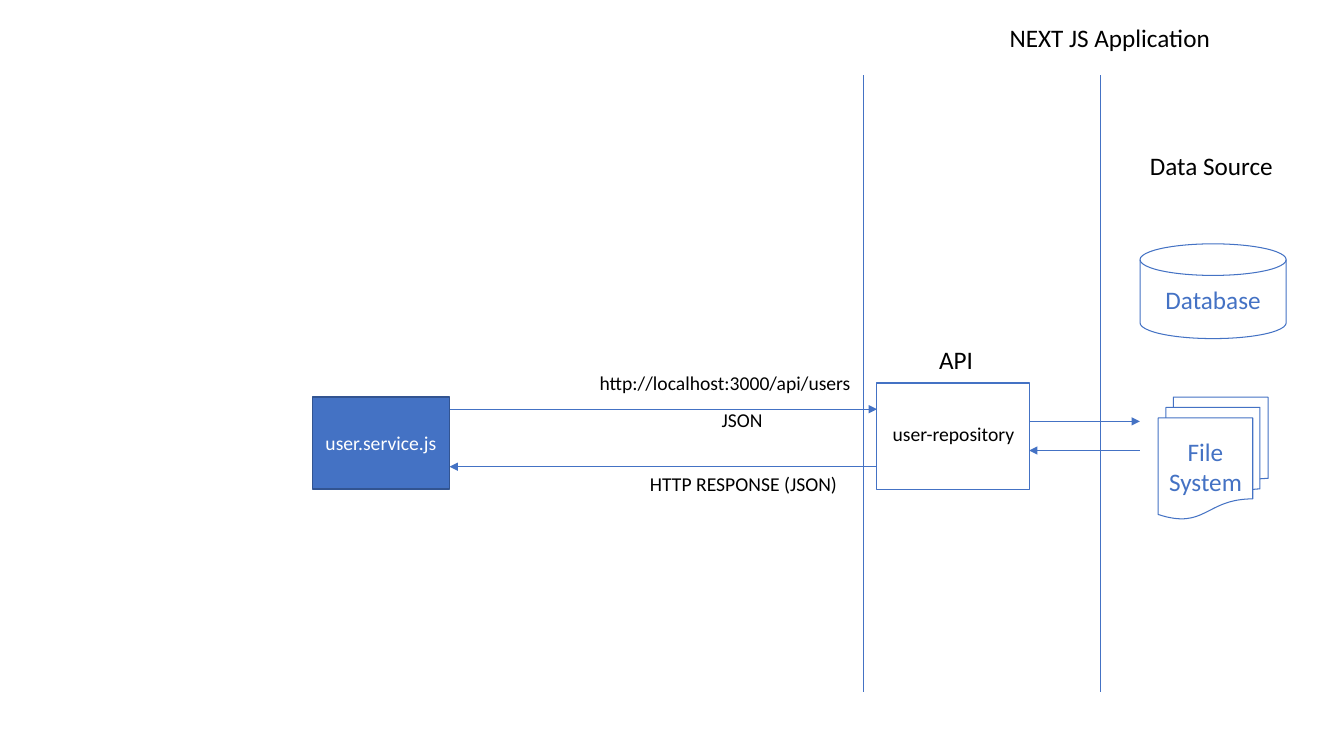
from pptx import Presentation
from pptx.dml.color import RGBColor
from pptx.enum.shapes import MSO_CONNECTOR, MSO_SHAPE
from pptx.enum.text import MSO_ANCHOR, PP_ALIGN
from pptx.oxml.ns import qn
from pptx.util import Pt
from lxml.etree import SubElement

BLUE = RGBColor(0x44, 0x72, 0xC4)
NAVY = RGBColor(0x32, 0x54, 0x91)
BLACK = RGBColor(0, 0, 0)
WHITE = RGBColor(0xFF, 0xFF, 0xFF)


def write(frame, text, size, color, align):
    para = frame.paragraphs[0]
    para.alignment = align
    run = para.add_run()
    run.text = text
    run.font.name = "Calibri"
    run.font.size = Pt(size)
    run.font.color.rgb = color


def draw_line(x1, y1, x2, y2, arrow):
    line = slide.shapes.add_connector(
        MSO_CONNECTOR.STRAIGHT, Pt(x1), Pt(y1), Pt(x2), Pt(y2))
    line.line.color.rgb = BLUE
    line.line.width = Pt(0.5)
    if arrow:
        SubElement(line.line._get_or_add_ln(), qn("a:tailEnd"), type="triangle")
    SubElement(line._element.spPr, qn("a:effectLst"))


deck = Presentation()
deck.slide_width = Pt(960)
deck.slide_height = Pt(540)
slide = deck.slides.add_slide(deck.slide_layouts[6])

# Edges shared by the boxes and the arrows
service_left, service_right = 223.2, 321.1
repo_left, repo_right = 626.4, 735.1
source_left = 814.3

# Boundaries between client, API and data source
for x in (617, 786.2):
    draw_line(x, 53.6, x, 494, False)

# Requests and responses
for start, end, y in (
    (service_right, repo_left, 292.3),
    (repo_left, service_right, 333.4),
    (repo_right, source_left, 301),
    (source_left, repo_right, 321.8),
):
    draw_line(start, y, end, y, True)

# Components
for kind, x, y, w, h, text, size, fill, edge, width, color in (
    (MSO_SHAPE.FLOWCHART_MAGNETIC_DISK, source_left, 174.2, 104.4, 67.7,
     "Database", 18, None, BLUE, 0.75, BLUE),
    (MSO_SHAPE.FLOWCHART_MULTIDOCUMENT, 827.3, 283.7, 78.5, 87.1,
     "File System", 18, None, BLUE, 0.75, BLUE),
    (MSO_SHAPE.RECTANGLE, repo_left, 273.6, repo_right - repo_left, 76.3,
     "", 14, None, BLUE, 0.75, BLACK),
    (MSO_SHAPE.RECTANGLE, service_left, 283.7, service_right - service_left, 65.5,
     "user.service.js", 14, BLUE, NAVY, 1, WHITE),
):
    shape = slide.shapes.add_shape(kind, Pt(x), Pt(y), Pt(w), Pt(h))
    shape.shadow.inherit = False
    if fill is None:
        shape.fill.background()
    else:
        shape.fill.solid()
        shape.fill.fore_color.rgb = fill
    shape.line.color.rgb = edge
    shape.line.width = Pt(width)
    if text:
        frame = shape.text_frame
        frame.word_wrap = True
        frame.vertical_anchor = MSO_ANCHOR.MIDDLE
        write(frame, text, size, color, PP_ALIGN.CENTER)

# Headings and labels
for text, x, y, w, size, align, wrap in (
    ("NEXT JS Application", 643.7, 12.2, 298.1, 18, PP_ALIGN.CENTER, True),
    ("Data Source", source_left, 104, 104.4, 18, PP_ALIGN.LEFT, True),
    ("API", 630.7, 242.2, 104.4, 18, PP_ALIGN.CENTER, True),
    ("user-repository", 630, 298.1, 102.2, 14, PP_ALIGN.CENTER, True),
    ("http://localhost:3000/api/users", 421.2, 261.2, 195.8, 14, PP_ALIGN.LEFT, False),
    ("JSON", 508.3, 288, 43.9, 14, PP_ALIGN.LEFT, False),
    ("HTTP RESPONSE (JSON)", 457.2, 333.4, 149, 14, PP_ALIGN.LEFT, False),
):
    height = 29.1 if size == 18 else 24.2
    label = slide.shapes.add_textbox(Pt(x), Pt(y), Pt(w), Pt(height))
    label.text_frame.word_wrap = wrap
    write(label.text_frame, text, size, BLACK, align)

deck.save("out.pptx")
